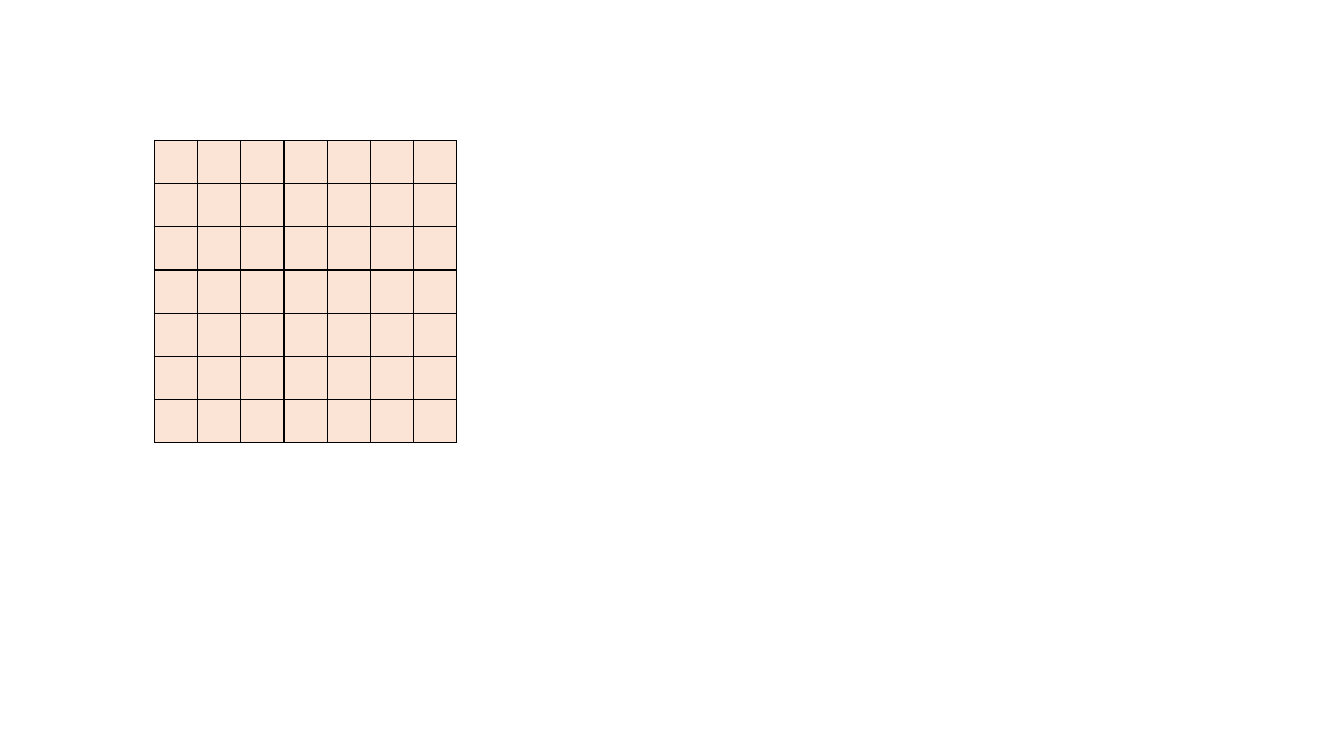
from lxml.etree import SubElement
from pptx import Presentation
from pptx.dml.color import RGBColor
from pptx.oxml.ns import qn
from pptx.util import Pt

COLOURS = {"cell": "FBE3D6", "border": "000000"}
SLIDE = {"slide_width": Pt(960), "slide_height": Pt(540)}
GRID = {"rows": 7, "columns": 7, "left": 110.3, "top": 100.3, "side": 216}
CELL_FORMAT = {"margin_top": Pt(0), "margin_bottom": Pt(0)}
BORDER_WIDTH = 1
BORDER_SIDES = ("lnL", "lnR", "lnT", "lnB")


def set_format(target, values):
    """Set each named attribute on the target."""
    for name, value in values.items():
        setattr(target, name, value)


def add_borders(cell):
    """Draw a solid line on all four sides of a cell."""
    properties = cell._tc.get_or_add_tcPr()
    for side in BORDER_SIDES:
        line = SubElement(properties, qn(f"a:{side}"), w=str(Pt(BORDER_WIDTH)))
        fill = SubElement(line, qn("a:solidFill"))
        SubElement(fill, qn("a:srgbClr"), val=COLOURS["border"])


def add_grid(page):
    """Add the square grid of equal, empty cells."""
    side = Pt(GRID["side"])
    frame = page.shapes.add_table(
        GRID["rows"], GRID["columns"], Pt(GRID["left"]), Pt(GRID["top"]), side, side
    )
    table = frame.table
    set_format(table, {"first_row": False, "horz_banding": False})
    for cell in table.iter_cells():
        set_format(cell, CELL_FORMAT)
        add_borders(cell)
        cell.fill.solid()
        cell.fill.fore_color.rgb = RGBColor.from_string(COLOURS["cell"])


def main():
    """Build the slide and save the deck."""
    deck = Presentation()
    set_format(deck, SLIDE)
    page = deck.slides.add_slide(deck.slide_layouts[6])
    add_grid(page)
    deck.save("out.pptx")


if __name__ == "__main__":
    main()
